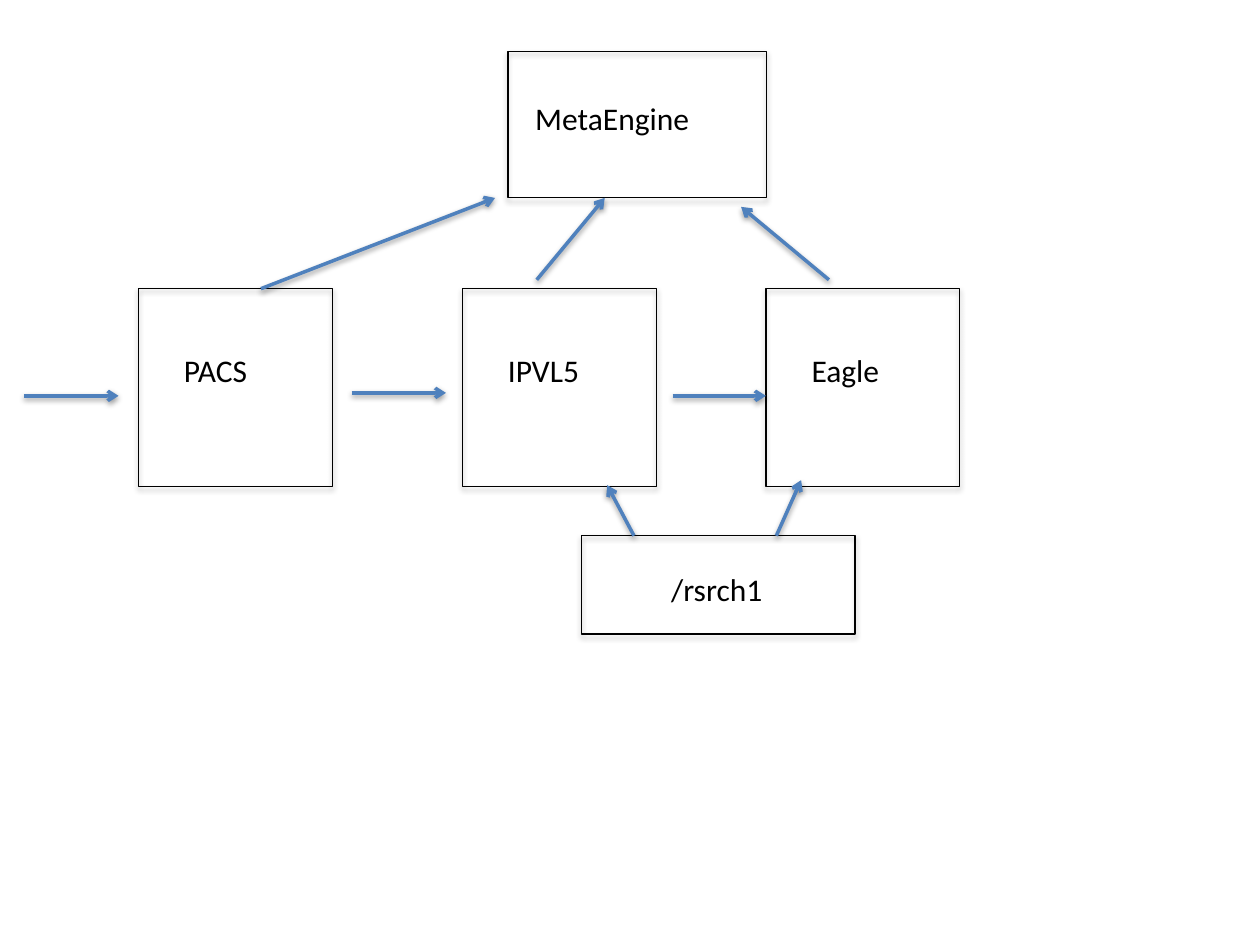
from lxml.etree import SubElement
from pptx import Presentation
from pptx.dml.color import RGBColor
from pptx.enum.shapes import MSO_CONNECTOR as Connector, MSO_SHAPE as Shape
from pptx.enum.text import MSO_AUTO_SIZE as AutoSize, PP_ALIGN as Align
from pptx.oxml.ns import qn
from pptx.util import Cm, Pt

BLACK = "000000"
BLUE = "4F81BD"
STAGE_TOP, STAGE_WIDTH, STAGE_HEIGHT = 5.82, 3.91, 3.99
STAGES = [("PACS", 2.79), ("Eagle", 15.44), ("IPVL5", 9.32)]
FLOW_ARROWS = [
    (0.48, 7.98, 2.39, 7.98),
    (7.09, 7.92, 8.99, 7.92),
    (13.56, 7.98, 15.44, 7.98),
]
STORAGE_ARROWS = [(12.78, 10.8, 12.24, 9.78), (15.65, 10.8, 16.15, 9.68)]
ENGINE_ARROWS = [
    (5.26, 5.82, 9.98, 3.99),
    (10.82, 5.64, 12.19, 3.99),
    (16.71, 5.64, 14.94, 4.17),
]


def color(value):
    return RGBColor.from_string(value)


def add_shadow(properties, distance, opacity):
    effects = properties.find(qn("a:effectLst"))
    if effects is None:
        effects = SubElement(properties, qn("a:effectLst"))
    shadow = SubElement(effects, qn("a:outerShdw"), blurRad="40000",
                        dist=str(distance), dir="5400000", rotWithShape="0")
    shade = SubElement(shadow, qn("a:srgbClr"), val=BLACK)
    SubElement(shade, qn("a:alpha"), val=str(opacity * 1000))


def add_node(slide, text, left, top, width, height,
             inset_x, inset_y, label_width, align=Align.LEFT):
    group = slide.shapes.add_group_shape()
    label = group.shapes.add_textbox(Cm(left + inset_x), Cm(top + inset_y),
                                     Cm(label_width), Cm(1.02))
    frame = label.text_frame
    frame.word_wrap = True
    frame.auto_size = AutoSize.SHAPE_TO_FIT_TEXT
    paragraph = frame.paragraphs[0]
    paragraph.text = text
    paragraph.alignment = align
    paragraph.font.name = "Calibri"
    paragraph.font.size = Pt(18)
    paragraph.font.color.rgb = color(BLACK)

    outline = group.shapes.add_shape(Shape.RECTANGLE, Cm(left), Cm(top),
                                     Cm(width), Cm(height))
    outline.fill.background()
    outline.line.color.rgb = color(BLACK)
    outline.line.width = Pt(0.75)
    outline.shadow.inherit = False
    add_shadow(outline.element.spPr, 23000, 35)


def add_stage(slide, text, left):
    add_node(slide, text, left, STAGE_TOP, STAGE_WIDTH, STAGE_HEIGHT,
             0.67, 1.14, 2.26)


def add_arrows(slide, arrows):
    for points in arrows:
        arrow = slide.shapes.add_connector(Connector.STRAIGHT, *map(Cm, points))
        arrow.line.color.rgb = color(BLUE)
        arrow.line.width = Pt(2)
        SubElement(arrow.get_or_add_ln(), qn("a:tailEnd"), type="arrow")
        add_shadow(arrow.element.spPr, 20000, 38)


def main():
    presentation = Presentation()
    presentation.slide_width, presentation.slide_height = Cm(25.4), Cm(19.05)
    slide = presentation.slides.add_slide(presentation.slide_layouts[6])
    for text, left in STAGES:
        add_stage(slide, text, left)
    add_node(slide, "MetaEngine", 10.24, 1.04, 5.21, 2.95, 0.3, 0.84, 4.9)
    add_arrows(slide, FLOW_ARROWS)
    add_node(slide, "/rsrch1", 11.73, 10.8, 5.51, 1.98, 0.46, 0.56, 4.52,
             Align.CENTER)
    add_arrows(slide, STORAGE_ARROWS + ENGINE_ARROWS)
    presentation.save("out.pptx")


if __name__ == "__main__":
    main()
